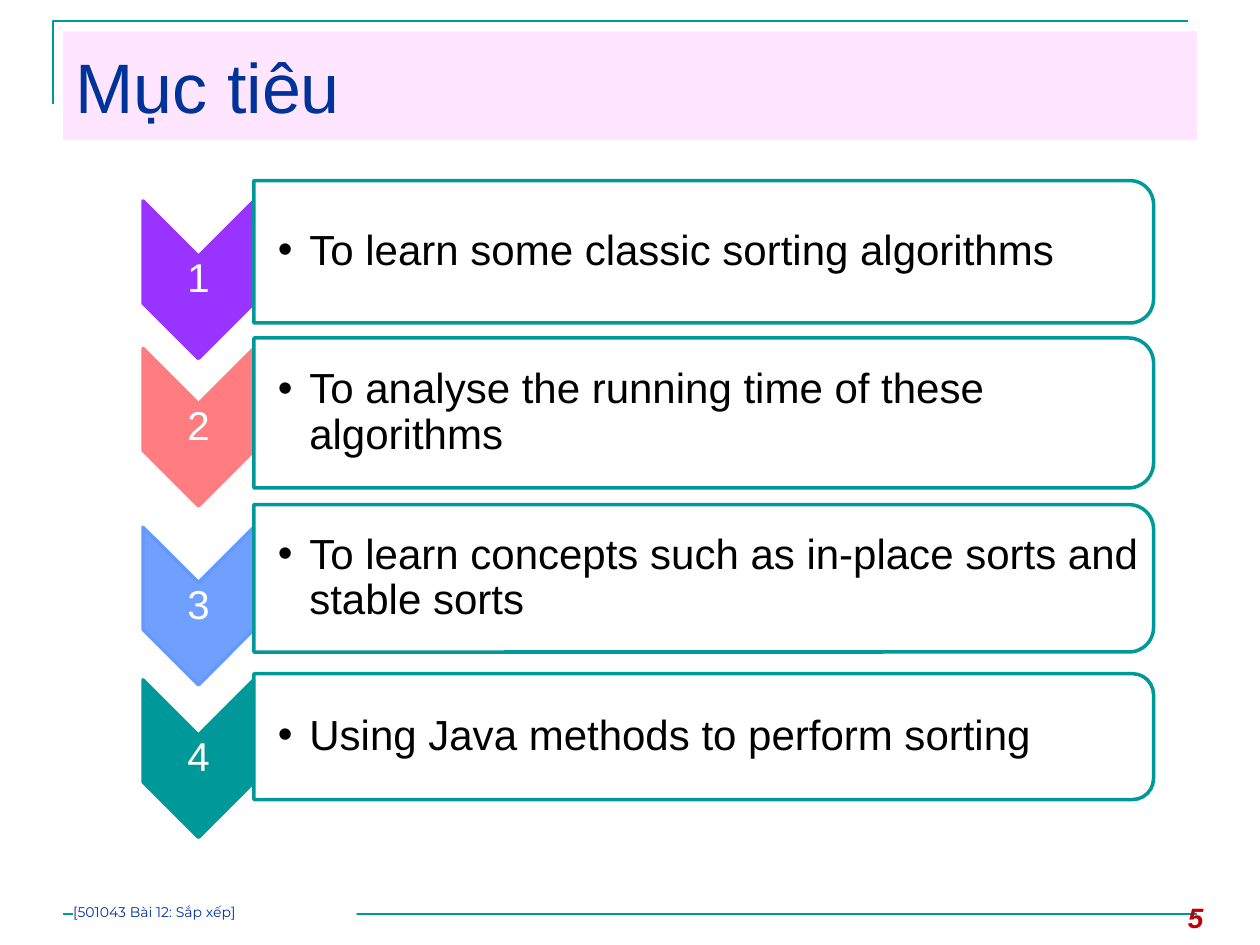
"""Objectives slide: a title band, four numbered goals and a footer."""
from dataclasses import dataclass

from lxml import etree
from pptx import Presentation
from pptx import util as u
from pptx.dml.color import RGBColor
from pptx.enum import shapes, text
from pptx.oxml import ns

SLIDE_W, SLIDE_H = u.Inches(10), u.Inches(7.5)


@dataclass(frozen=True)
class Theme:
    """Colours, fonts and type sizes."""
    teal: str = "009999"
    navy: str = "003399"
    band: str = "FF99FF"
    white: str = "FFFFFF"
    black: str = "000000"
    red: str = "C00000"
    body_font: str = "Arial"
    footer_font: str = "Montserrat"
    title_size: int = 40
    goal_size: int = 24
    number_size: int = 23
    page_size: int = 16
    footer_size: int = 8


@dataclass(frozen=True)
class Box:
    """A box in percent of the slide's width and height."""
    x: float
    y: float
    w: float
    h: float

    def emu(self):
        """Return left, top, width and height in EMU."""
        return [int(share * full / 100) for share, full in
                zip((self.x, self.y, self.w, self.h), (SLIDE_W, SLIDE_H) * 2)]


THEME = Theme()
PAGE = Box(0, 0, 100, 100)
# text, chevron fill, chevron line, panel middle, panel height, chevron middle
GOALS = [
    ("To learn some classic sorting algorithms",
     "9933FF", "9933FF", 26.64, 15.07, 29.6),
    ("To analyse the running time of these algorithms",
     "FF7C80", "FF7C80", 43.7, 15.87, 45.2),
    ("To learn concepts such as in-place sorts and stable sorts",
     "70A0FF", "6699FF", 61.2, 15.6, 64.13),
    ("Using Java methods to perform sorting",
     THEME.teal, THEME.teal, 77.95, 13.33, 80.27),
]


def set_all(target, values):
    """Set every attribute in a dict of format values."""
    for key, value in values.items():
        setattr(target, key, value)


def paint(shape, fill=None, line=None, width=2, opacity=None):
    """Give a shape its fill and outline, without a shadow."""
    if fill:
        shape.fill.solid()
        shape.fill.fore_color.rgb = RGBColor.from_string(fill)
    else:
        shape.fill.background()
    if opacity:
        colour = shape.fill._xPr.find(".//" + ns.qn("a:srgbClr"))
        etree.SubElement(colour, ns.qn("a:alpha"), val=str(opacity * 1000))
    if line:
        shape.line.color.rgb = RGBColor.from_string(line)
        shape.line.width = u.Pt(width)
    else:
        shape.line.fill.background()


def write(shape, words, size, colour, font=THEME.body_font, insets=(0.1, 0.05, 0.1, 0.05),
          anchor=text.MSO_ANCHOR.TOP, align=text.PP_ALIGN.LEFT, spacing=None, **style):
    """Write one formatted paragraph and return it."""
    frame = shape.text_frame
    sides = ("margin_left", "margin_top", "margin_right", "margin_bottom")
    set_all(frame, {"word_wrap": True, "vertical_anchor": anchor,
                    **dict(zip(sides, map(u.Inches, insets)))})
    paragraph = frame.paragraphs[0]
    set_all(paragraph, {"alignment": align, "line_spacing": spacing})
    run = paragraph.add_run()
    run.text = words
    set_all(run.font, {"name": font, "size": u.Pt(size), **style})
    run.font.color.rgb = RGBColor.from_string(colour)
    return paragraph


def add_turned(slide, kind, box):
    """Add a preset shape that fills the box after a quarter turn."""
    left, top, width, height = box.emu()
    shift = (width - height) // 2
    shape = slide.shapes.add_shape(kind, left + shift, top - shift, height, width)
    set_all(shape, {"rotation": 90})
    shape.shadow.inherit = False
    return shape


def add_header(slide, box):
    """Draw the corner rule and the title band in the box."""
    left, top, width, height = box.emu()
    builder = slide.shapes.build_freeform(left, top + int(height * 0.7))
    builder.add_line_segments([(left, top), (left + int(width * 0.99), top)], close=False)
    corner = builder.convert_to_shape()
    corner.shadow.inherit = False
    paint(corner, line=THEME.teal, width=1.5)

    title = slide.shapes.title
    band = Box(box.x + 0.8, box.y + 1.1, 90, 11.47).emu()
    set_all(title, dict(zip(("left", "top", "width", "height"), band)))
    paint(title, THEME.band, opacity=25)
    write(title, "Mục tiêu", THEME.title_size, THEME.navy, anchor=text.MSO_ANCHOR.MIDDLE)


def add_goal(slide, box, number, goal):
    """Draw one numbered chevron and its bulleted panel across the box."""
    words, fill, line, panel_mid, panel_h, chevron_mid = goal
    middle = {"anchor": text.MSO_ANCHOR.MIDDLE, "spacing": 0.9}

    arrow = Box(box.x, chevron_mid - 8.33, 8.8, 16.67)
    chevron = add_turned(slide, shapes.MSO_SHAPE.CHEVRON, arrow)
    paint(chevron, fill, line)
    label = slide.shapes.add_textbox(*Box(arrow.x, chevron_mid - 2.53, arrow.w, 5.07).emu())
    write(label, str(number), THEME.number_size, THEME.white, insets=(0.02,) * 4,
          align=text.PP_ALIGN.CENTER, **middle)

    edge = box.x + arrow.w
    top = panel_mid - panel_h / 2
    panel = add_turned(slide, shapes.MSO_SHAPE.ROUND_2_SAME_RECTANGLE,
                       Box(edge, top, box.w - arrow.w, panel_h))
    paint(panel, THEME.white, THEME.teal, opacity=90)
    body = slide.shapes.add_textbox(
        *Box(edge, top + 0.7, box.w - arrow.w - 0.6, panel_h - 1.4).emu())
    paragraph = write(body, words, THEME.goal_size, THEME.black,
                      insets=(0.19, 0.02, 0.02, 0.02), **middle)
    props = paragraph._p.get_or_add_pPr()
    props.set("marL", str(u.Inches(0.25)))
    props.set("indent", str(-u.Inches(0.25)))
    etree.SubElement(props, ns.qn("a:buFont"), typeface=THEME.body_font)
    etree.SubElement(props, ns.qn("a:buChar"), char="•")


def add_footer(slide, box):
    """Draw the footer rule, the lesson name and the page number."""
    left, top, width, height = box.emu()
    middle = top + height // 2
    rule = slide.shapes.add_connector(
        shapes.MSO_CONNECTOR.STRAIGHT, left, middle, left + width, middle)
    rule.line.color.rgb = RGBColor.from_string(THEME.teal)
    rule.line.width = u.Pt(1.5)
    etree.SubElement(rule._element.spPr, ns.qn("a:effectLst"))

    lesson = slide.shapes.add_shape(
        shapes.MSO_SHAPE.RECTANGLE, *Box(box.x + 0.8, box.y, 22.5, box.h).emu())
    lesson.shadow.inherit = False
    paint(lesson, THEME.white)
    write(lesson, "[501043 Bài 12: Sắp xếp]", THEME.footer_size, THEME.navy,
          THEME.footer_font, insets=(0,) * 4)
    page = slide.shapes.add_textbox(*Box(box.x + 88.3, box.y - 0.93, 6.7, 5.33).emu())
    write(page, "5", THEME.page_size, THEME.red, bold=True, italic=True)


def build_slide(deck, box):
    """Add the objectives slide, its regions placed in the box."""
    slide = deck.slides.add_slide(deck.slide_layouts[5])
    add_header(slide, Box(box.x + 4.2, box.y + 2.23, box.w * 0.91, 12.57))
    for number, goal in enumerate(GOALS, 1):
        add_goal(slide, Box(box.x + 11.35, box.y, 80.2, box.h), number, goal)
    add_footer(slide, Box(box.x + 5, box.y + 95.6, box.w * 0.9, 2.27))


presentation = Presentation()
set_all(presentation, {"slide_width": SLIDE_W, "slide_height": SLIDE_H})
build_slide(presentation, PAGE)
presentation.save("out.pptx")
